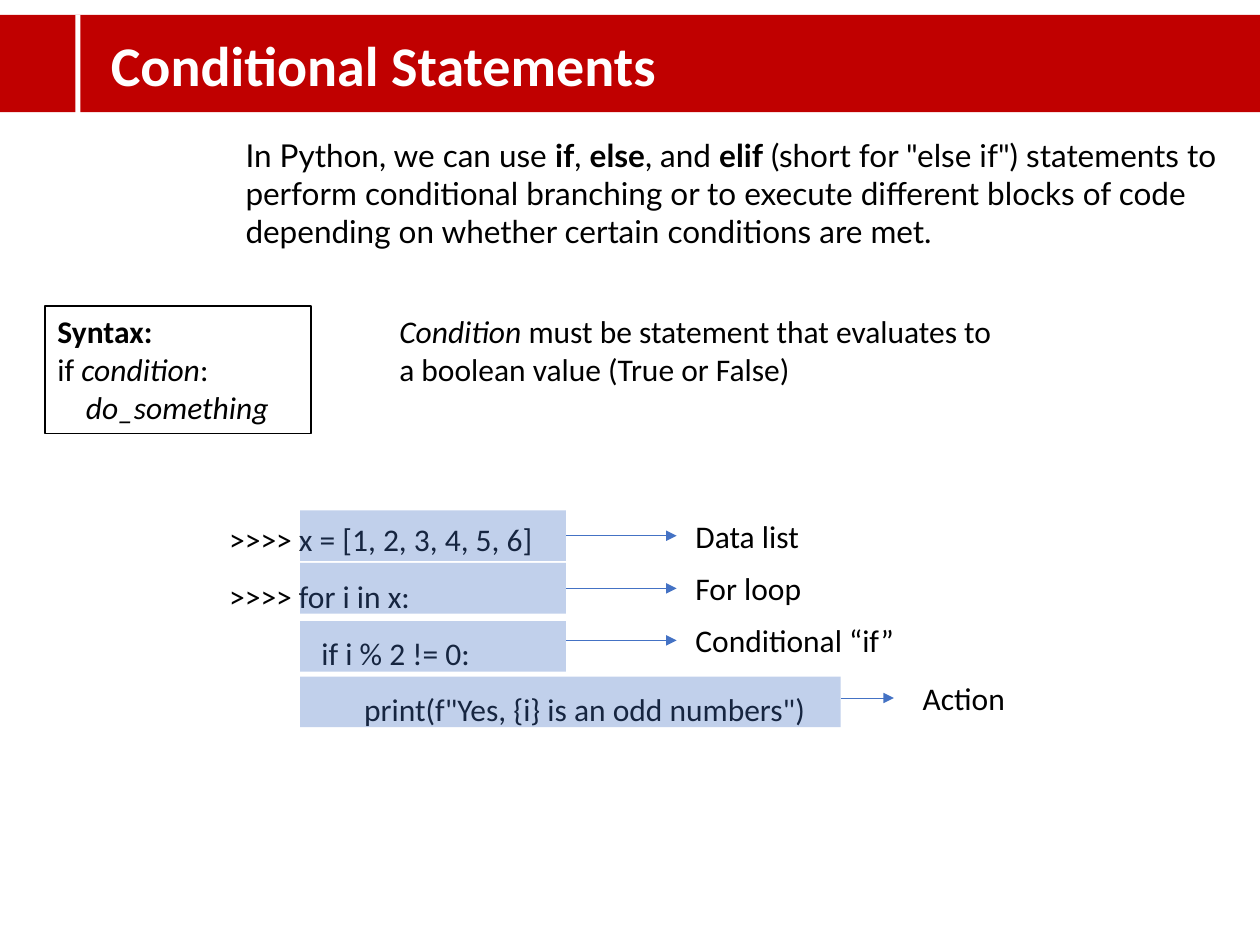
from pptx import Presentation
from pptx.dml.color import RGBColor
from pptx.enum.shapes import MSO_CONNECTOR, MSO_SHAPE
from pptx.enum.text import MSO_ANCHOR, PP_ALIGN
from pptx.oxml.ns import qn
from pptx.util import Cm, Pt
from lxml.etree import SubElement

RED, WHITE, BLACK, BLUE = "C00000", "FFFFFF", "000000", "4472C4"
TITLE = "Conditional Statements"
INTRO = [[
    ("In Python, we can use\u00a0", ""), ("if", "b"), (",\u00a0", ""), ("else", "b"),
    (", and\u00a0", ""), ("elif", "b"),
    ("\u00a0(short for \"else if\") statements to perform conditional branching or to "
     "execute different blocks of code depending on whether certain conditions are met.", ""),
]]
SYNTAX = [
    [("Syntax:", "b")],
    [("if ", ""), ("condition", "i"), (":", "")],
    [("    ", ""), ("do_something", "i")],
]
CONDITION = [[
    ("Condition", "i"),
    (" must be statement that evaluates to a boolean value (True or False)", ""),
]]
CODE = [
    ">>>> x = [1, 2, 3, 4, 5, 6]",
    ">>>> for i in x:",
    "             if i % 2 != 0:",
    "                   print(f\"Yes, {i} is an odd numbers\")",
]
NOTES = [
    ("Data list", 10.29, 10.29, 5.36, 2.23, 0.13),
    ("For loop", 11.35, 11.35, 5.36, 2.23, 0.13),
    ("Conditional “if”", 12.52, 12.4, 5.36, 2.23, 0.13),
    ("Action", 13.64, 13.56, 10.9, 1.07, 0.33),
]
CODE_X, ROW_H = 6.05, 1.02


def rgb(color):
    """Turn a hex string into a colour."""
    return RGBColor.from_string(color)


def write(tf, paragraphs, font="Calibri", size=18, color=BLACK, spacing=None):
    """Write paragraphs of (text, style) runs into a text frame."""
    for n, runs in enumerate(paragraphs):
        p = tf.add_paragraph() if n else tf.paragraphs[0]
        p.alignment = PP_ALIGN.LEFT
        if spacing:
            p.line_spacing = spacing
        for text, style in runs:
            r = p.add_run()
            r.text = text
            r.font.name, r.font.size = font, Pt(size)
            r.font.bold, r.font.italic = "b" in style, "i" in style
            r.font.color.rgb = rgb(color)


def add_text(s, box, paragraphs, wrap=True, **style):
    """Add a text box."""
    tf = s.shapes.add_textbox(*map(Cm, box)).text_frame
    tf.word_wrap = wrap
    write(tf, paragraphs, **style)


def add_rect(s, box, fill=None, line=None, alpha=None):
    """Add a rectangle with an optional fill, outline and opacity in percent."""
    sp = s.shapes.add_shape(MSO_SHAPE.RECTANGLE, *map(Cm, box))
    sp.shadow.inherit = False
    if fill:
        sp.fill.solid()
        sp.fill.fore_color.rgb = rgb(fill)
    else:
        sp.fill.background()
    if line:
        sp.line.color.rgb, sp.line.width = rgb(line), Pt(0.75)
    else:
        sp.line.fill.background()
    if alpha:
        clr = sp.fill._xPr.find(".//" + qn("a:srgbClr"))
        SubElement(clr, qn("a:alpha"), val=str(alpha * 1000))
    return sp


def add_arrow(s, x, y, length):
    """Add a thin arrow pointing right."""
    cx = s.shapes.add_connector(MSO_CONNECTOR.STRAIGHT, Cm(x), Cm(y), Cm(x + length), Cm(y))
    cx.line.color.rgb, cx.line.width = rgb(BLUE), Pt(0.5)
    SubElement(cx.line._get_or_add_ln(), qn("a:tailEnd"), type="triangle")
    SubElement(cx._element.spPr, qn("a:effectLst"))


def add_title(s):
    """Fill the title placeholder and bring it in front of the banner."""
    sp = s.shapes.title
    sp.left, sp.top, sp.width, sp.height = map(Cm, (1.98, 0.48, 11.61, 1.63))
    tf = sp.text_frame
    tf.word_wrap = False
    tf.vertical_anchor = MSO_ANCHOR.MIDDLE
    write(tf, [[(TITLE, "b")]], size=32, color=WHITE)
    s.shapes._spTree.append(sp._element)


def main():
    """Build the slide."""
    prs = Presentation()
    prs.slide_width, prs.slide_height = Cm(25.4), Cm(19.05)
    s = prs.slides.add_slide(prs.slide_layouts[5])
    add_rect(s, (0, 0.3, 25.4, 1.96), RED)
    add_title(s)
    add_rect(s, (1.52, 0.3, 0.1, 3.35), WHITE)

    add_text(s, (4.7, 2.62, 20.7, 2.57), INTRO, font="Lato")
    tf = add_rect(s, (0.91, 6.17, 5.36, 2.57), line=BLACK).text_frame
    tf.word_wrap = True
    tf.vertical_anchor = MSO_ANCHOR.TOP
    write(tf, SYNTAX)
    add_text(s, (7.8, 6.17, 12.7, 1.8), CONDITION)

    add_text(s, (4.37, 9.98, 17.15, 4.75), [[(line, "")] for line in CODE], spacing=1.5)
    for label, row_y, label_y, width, length, gap in NOTES:
        add_rect(s, (CODE_X, row_y, width, ROW_H), BLUE, alpha=33)
        x = CODE_X + width
        add_arrow(s, x, label_y + ROW_H / 2, length)
        add_text(s, (x + length + gap, label_y, 4.6, ROW_H), [[(label, "")]], wrap=False)
    prs.save("out.pptx")


if __name__ == "__main__":
    main()
